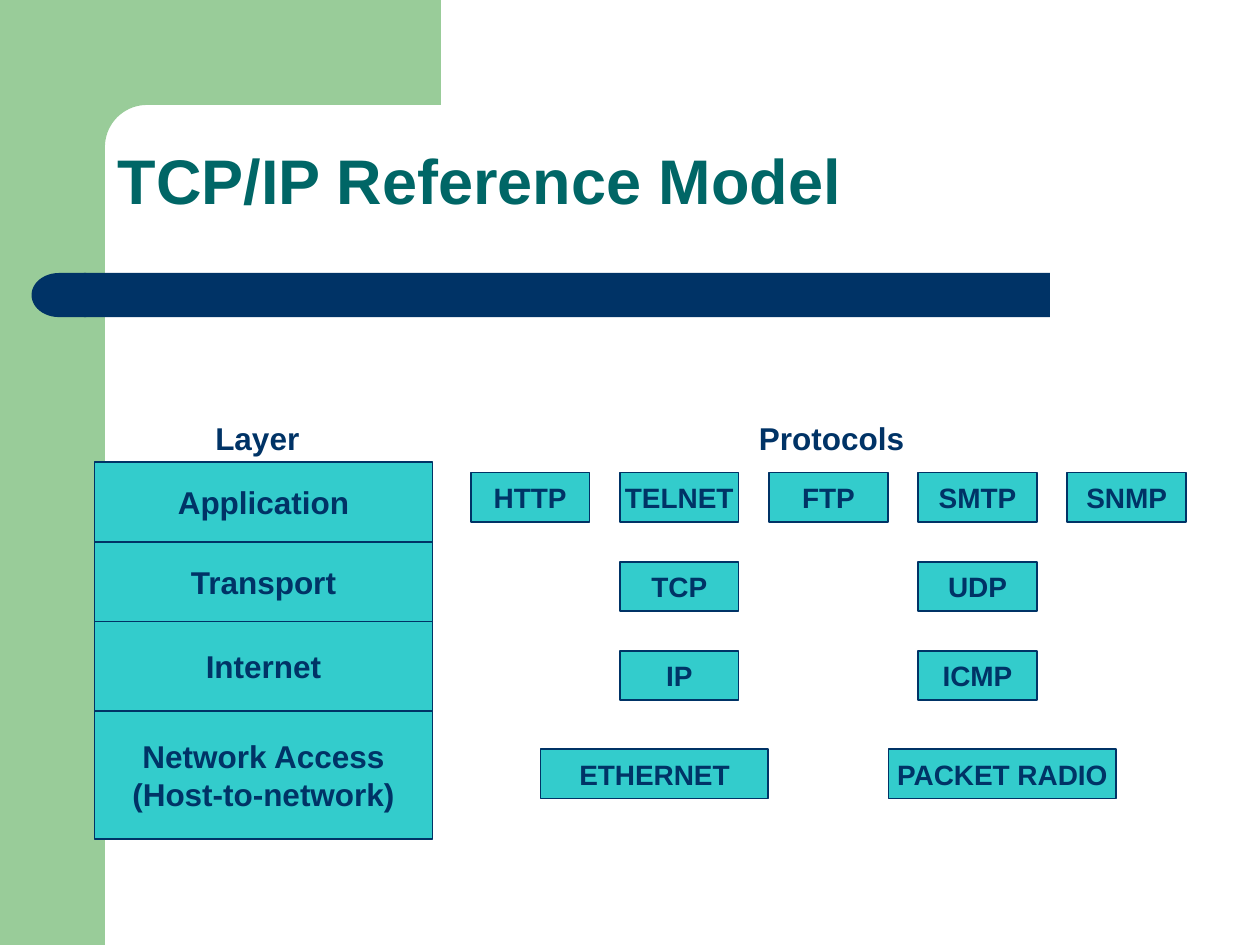
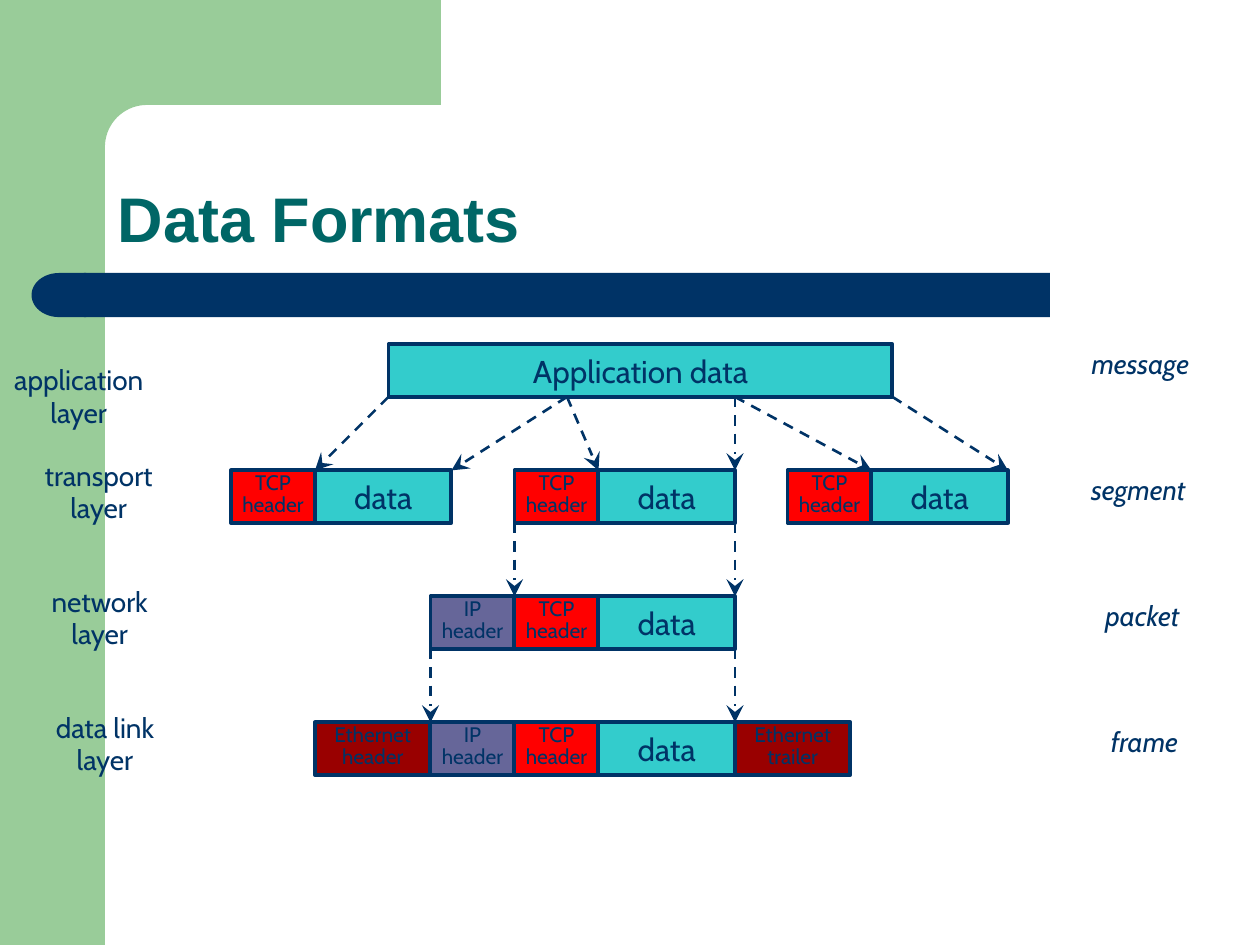
import math

import lxml.etree
import pptx
import pptx.dml.color
import pptx.enum.dml
import pptx.enum.shapes
import pptx.enum.text
import pptx.oxml.ns
import pptx.util

COLOURS = {
    "green": "99CC99",
    "navy": "003366",
    "title": "006666",
    "teal": "33CCCC",
    "red": "FF0000",
    "violet": "666699",
    "maroon": "990000",
}
RGB = {name: pptx.dml.color.RGBColor.from_string(code) for name, code in COLOURS.items()}
SHAPES = pptx.enum.shapes.MSO_SHAPE
ANCHORS = pptx.enum.text.MSO_ANCHOR
ALIGNS = pptx.enum.text.PP_ALIGN

deck = pptx.Presentation()
deck.slide_width = pptx.util.Inches(10)
deck.slide_height = pptx.util.Inches(7.5)
CELL = deck.slide_width // 120


def write(frame, lines, size, font="Arial", colour="navy", bold=False, italic=False,
          spacing=1.0, gap=0.0, align=ALIGNS.CENTER, anchor=ANCHORS.MIDDLE, wrap=False):
    frame.word_wrap = wrap
    frame.auto_size = pptx.enum.text.MSO_AUTO_SIZE.NONE
    frame.vertical_anchor = anchor
    for index, line in enumerate(lines):
        para = frame.add_paragraph() if index else frame.paragraphs[0]
        para.alignment = align
        para.line_spacing = spacing
        para.space_before = pptx.util.Pt(gap * size if index else 0)
        for part_index, part in enumerate(line.split("\n")):
            if part_index:
                para.add_line_break()
            span = para.add_run()
            span.text = part
            span.font.name = font
            span.font.size = pptx.util.Pt(size)
            span.font.bold = bold
            span.font.italic = italic
            span.font.color.rgb = RGB[colour]


def add_box(page, left, top, width, height, fill, outline=0, kind=SHAPES.RECTANGLE):
    box = page.shapes.add_shape(kind, *[round(n * CELL) for n in (left, top, width, height)])
    box.shadow.inherit = False
    box.fill.solid()
    box.fill.fore_color.rgb = RGB[fill]
    if outline:
        box.line.color.rgb = RGB["navy"]
        box.line.width = pptx.util.Pt(outline)
    else:
        box.line.fill.background()
    return box


layout = deck.slide_layouts.get_by_name("Title Only")
model_page = deck.slides.add_slide(layout)
formats_page = deck.slides.add_slide(layout)

side_band = add_box(model_page, 0, 0, 10, 90, "green")
curve = [(14 - 4 * math.sin(math.radians(a)), 14 - 4 * math.cos(math.radians(a)))
         for a in range(0, 91, 5)]
outline = [(42, 0), (42, 10), *curve, (10, 15.4), (6, 15.4)]
builder = model_page.shapes.build_freeform(6 * CELL, 0)
builder.add_line_segments([(x * CELL, y * CELL) for x, y in outline], close=True)
corner = builder.convert_to_shape()
corner.shadow.inherit = False
corner.fill.solid()
corner.fill.fore_color.rgb = RGB["green"]
corner.line.fill.background()
title_bar = add_box(model_page, 8, 26, 92, 4.2, "navy")
bar_end = add_box(model_page, 3, 26, 5.2, 4.2, "navy", kind=SHAPES.FLOWCHART_DELAY)
bar_end.rotation = 180
layout_tree = layout.placeholders[0].element.getparent()
for position, shape in enumerate((side_band, corner, title_bar, bar_end), start=2):
    layout_tree.insert(position, shape.element)

for page, heading, anchor in (
    (model_page, "TCP/IP Reference Model", ANCHORS.MIDDLE),
    (formats_page, "Data Formats", ANCHORS.BOTTOM),
):
    title = page.shapes.title
    title.left, title.top, title.width, title.height = [n * CELL for n in (10, 10, 104, 15)]
    write(title.text_frame, [heading], 36, colour="title", bold=True, spacing=0.9,
          align=ALIGNS.LEFT, anchor=anchor, wrap=True)

layer_top = 44
for layer, height in (
    ("Application", 7.6),
    ("Transport", 7.6),
    ("Internet", 8.5),
    ("Network Access\n(Host-to-network)", 12.2),
):
    box = add_box(model_page, 9, layer_top, 32.2, height, "teal", 1)
    write(box.text_frame, [layer], 18, bold=True)
    layer_top += height

for heading, centre in (("Layer", 24.5), ("Protocols", 79.2)):
    label = model_page.shapes.add_textbox(
        round((centre - 8) * CELL), round(39.3 * CELL), 16 * CELL, round(4.8 * CELL))
    write(label.text_frame, [heading], 18, bold=True, anchor=ANCHORS.TOP)

for row, width, protocols in (
    (0, 11.3, {"HTTP": 0, "TELNET": 1, "FTP": 2, "SMTP": 3, "SNMP": 4}),
    (1, 11.3, {"TCP": 1, "UDP": 3}),
    (2, 11.3, {"IP": 1, "ICMP": 3}),
    (3.1, 21.7, {"ETHERNET": 5 / 6, "PACKET RADIO": 19 / 6}),
):
    for protocol, column in protocols.items():
        centre = 50.5 + 14.2 * column
        box = add_box(model_page, centre - width / 2, 45 + 8.5 * row, width, 4.7, "teal", 1)
        write(box.text_frame, [protocol], 16, bold=True)

FIRST_ROW, ROW_STEP, BOX_HEIGHT = 32.8, 12, 5
FIELDS = {
    "application": (["Application data"], 48, "teal"),
    "data": (["data"], 13, "teal"),
    "tcp": (["TCP", "header"], 8, "red"),
    "ip": (["IP", "header"], 8, "violet"),
    "ethernet": (["Ethernet", "header"], 11, "maroon"),
    "trailer": (["Ethernet", "trailer"], 11, "maroon"),
}
for row, left, fields in (
    (0, 37, ["application"]),
    (1, 22, ["tcp", "data"]),
    (1, 49, ["tcp", "data"]),
    (1, 75, ["tcp", "data"]),
    (2, 41, ["ip", "tcp", "data"]),
    (3, 30, ["ethernet", "ip", "tcp", "data", "trailer"]),
):
    for field in fields:
        lines, width, fill = FIELDS[field]
        box = add_box(formats_page, left, FIRST_ROW + ROW_STEP * row, width, BOX_HEIGHT,
                      fill, 2.25)
        stacked = len(lines) > 1
        write(box.text_frame, lines, 12 if stacked else 18, font="Cabin",
              spacing=0.7 if stacked else 1.0, gap=0.2)
        left += width

for row, (layer, layer_centre, layer_top, unit, unit_centre) in enumerate((
    ("application", 7.5, 34.6, "message", 108.6),
    ("transport", 9.4, 43.7, "segment", 108.4),
    ("network", 9.5, 55.7, "packet", 108.8),
    ("data link", 10, 67.7, "frame", 109),
)):
    for lines, centre, top, height, italic in (
        ([layer, "layer"], layer_centre, layer_top, 7, False),
        ([unit], unit_centre, 33 + ROW_STEP * row, 3.7, True),
    ):
        label = formats_page.shapes.add_textbox(
            *[round(n * CELL) for n in (centre - 7.5, top, 15, height)])
        write(label.text_frame, lines, 16, font="Cabin", italic=italic, spacing=0.8,
              gap=0.2, anchor=ANCHORS.TOP)

for row, start, end in (
    (0, 37, 30), (0, 54, 43), (0, 54, 57), (0, 70, 70), (0, 70, 83), (0, 85, 96),
    (1, 49, 49), (1, 70, 70),
    (2, 70, 70), (2, 41, 41),
):
    row_top = FIRST_ROW + ROW_STEP * row
    arrow = formats_page.shapes.add_connector(
        pptx.enum.shapes.MSO_CONNECTOR.STRAIGHT,
        *[round(n * CELL) for n in (start, row_top + BOX_HEIGHT, end, row_top + ROW_STEP)])
    arrow.line.color.rgb = RGB["navy"]
    arrow.line.width = pptx.util.Pt(1.5)
    arrow.line.dash_style = pptx.enum.dml.MSO_LINE.DASH
    properties = arrow.element.spPr
    lxml.etree.SubElement(properties.find(pptx.oxml.ns.qn("a:ln")),
                          pptx.oxml.ns.qn("a:tailEnd"), type="stealth", w="lg", len="lg")
    lxml.etree.SubElement(properties, pptx.oxml.ns.qn("a:effectLst"))

deck.save("out.pptx")
